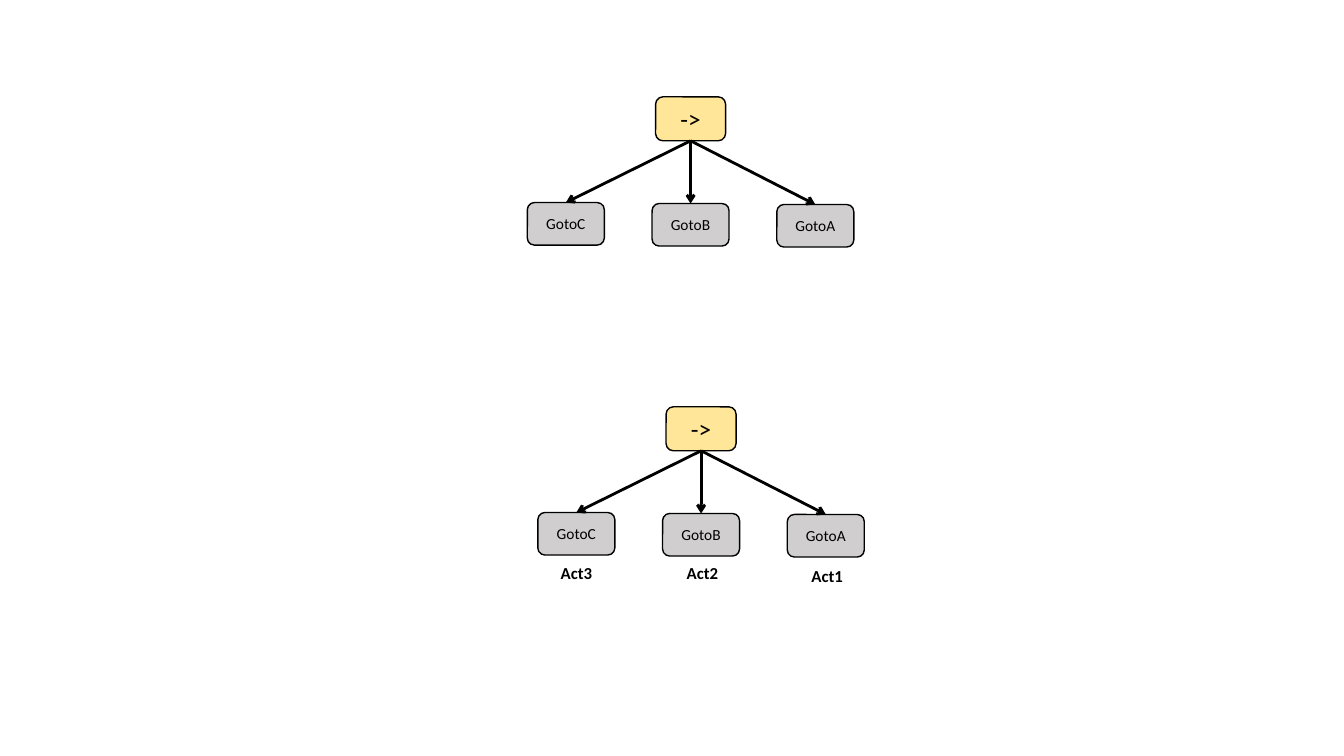
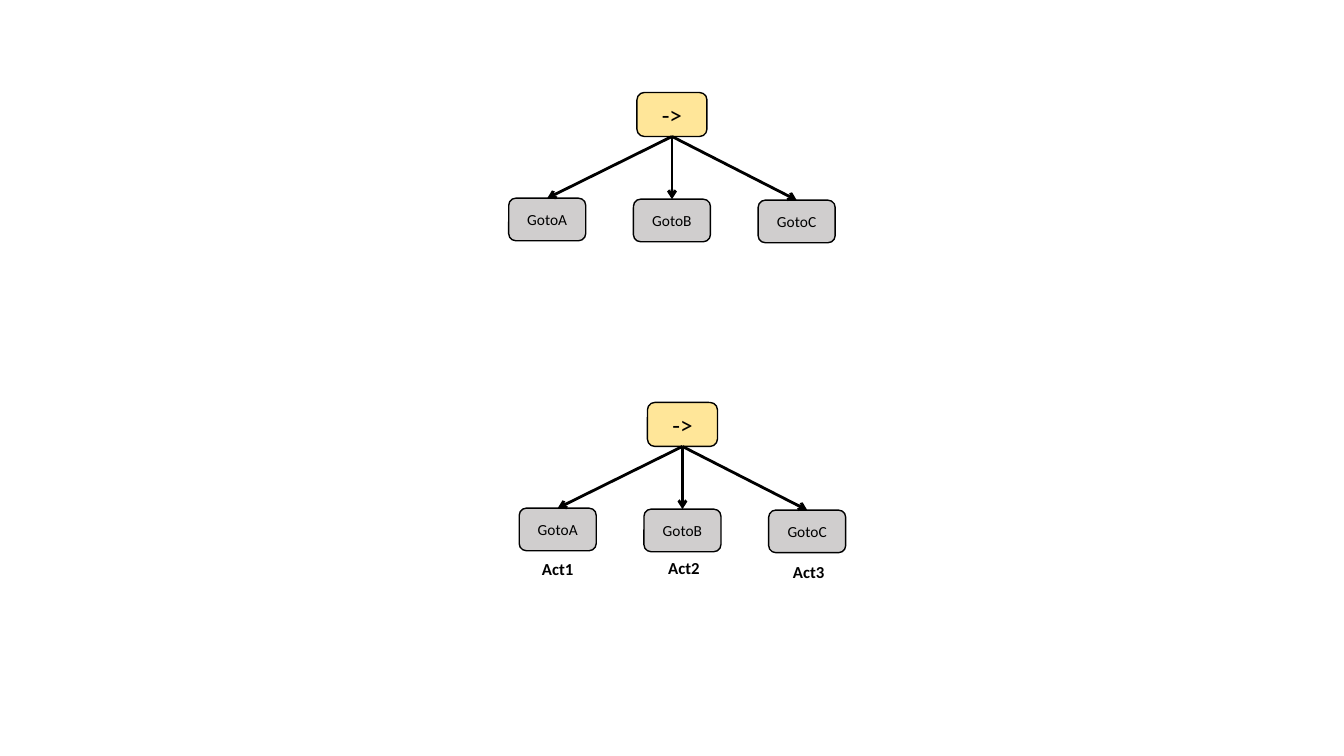
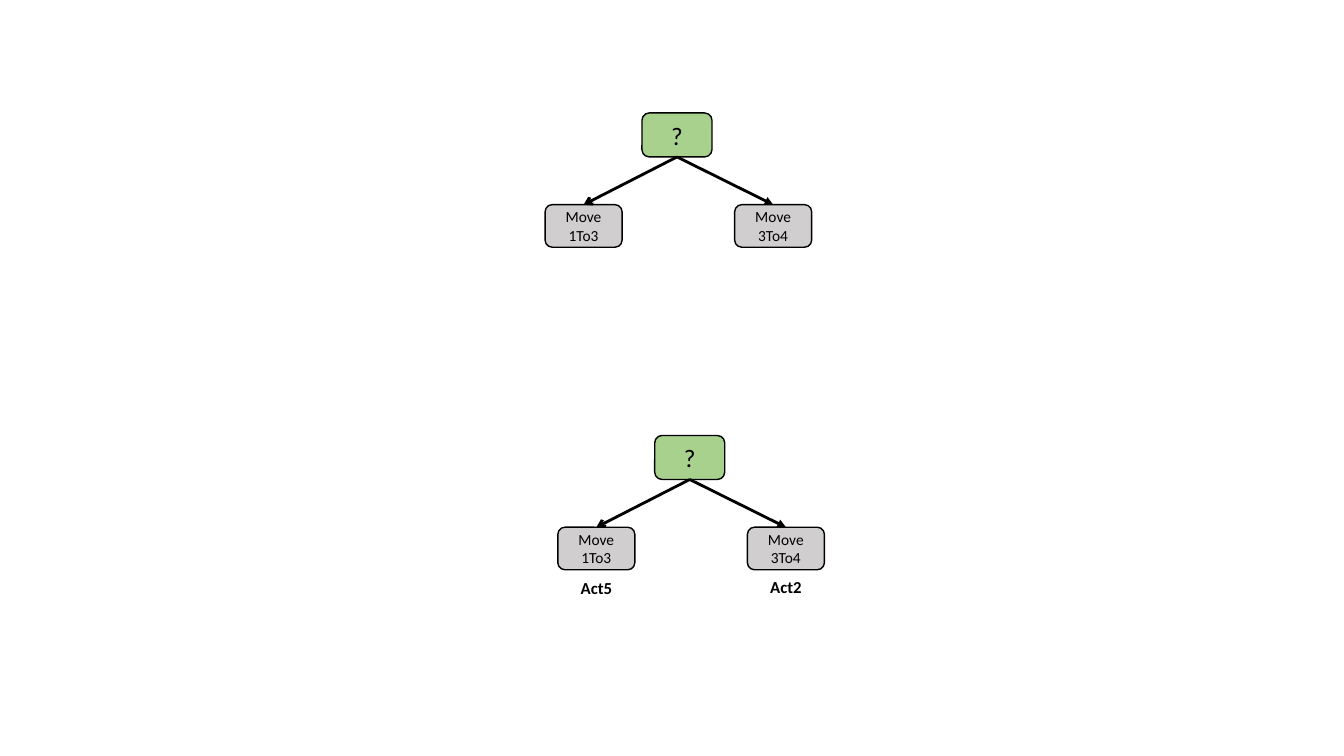
"""Build three slides of behaviour trees, each tree shown plain and then with action labels."""
from dataclasses import dataclass

from lxml import etree
from pptx import Presentation
from pptx.dml import color
from pptx.enum import shapes, text
from pptx.oxml import ns
from pptx import util as u

FONT = "Calibri"
BLACK, GOLD, GREEN, GRAY = "000000", "FFE699", "A9D18E", "D0CECE"
ROOT_W, ROOT_H = 50, 31.4
LEAF_W, LEAF_H = 55, 30.4
TAG_W, TAG_H = 36.7, 21.8


@dataclass(frozen=True)
class Leaf:
    name: str
    tag: str
    drop: float
    shift: float = 0
    tip: str = "arrow"


@dataclass(frozen=True)
class Tree:
    sign: str
    fill: str
    mid: float
    top: float
    leaves: tuple[Leaf, ...]
    step: float
    fall: float
    slope: float = 0
    skew: float = 0
    next_x: float = 7.5
    next_y: float = 221.4


def goto(names: str, tags: str, mid: float, top: float) -> Tree:
    spots = ((2.2, 0), (0.9, 1), (2.7, 1))
    leaves = tuple(Leaf(f"Goto{n}", f"Act{t}", *s)
                   for n, t, s in zip(names, tags, spots))
    return Tree("->", GOLD, mid, top, leaves, 89.1, 75.5, slope=0.7)


TREES = (
    goto("CBA", "321", 493.3, 69.2),
    goto("ABC", "123", 480, 66.1),
    Tree("?", GREEN, 483.6, 80.7,
         (Leaf("Move\n1To3", "Act5", 2.2),
          Leaf("Move\n3To4", "Act2", 1.4, tip="triangle")),
         135.4, 65.5, skew=1, next_x=9.1, next_y=230.4),
)


def rgb(code: str) -> color.RGBColor:
    return color.RGBColor.from_string(code)


def write(shape, words: str, size: float, bold: bool = False) -> None:
    frame = shape.text_frame
    frame.text = words
    for para in frame.paragraphs:
        for run in para.runs:
            font = run.font
            font.name, font.size, font.bold = FONT, u.Pt(size), bold
            font.color.rgb = rgb(BLACK)


def node(slide, words: str, mid: float, top: float, w: float, h: float,
         fill: str, size: float):
    box = slide.shapes.add_shape(
        shapes.MSO_SHAPE.ROUNDED_RECTANGLE,
        u.Pt(mid - w / 2), u.Pt(top), u.Pt(w), u.Pt(h))
    box.shadow.inherit = False
    box.fill.solid()
    box.fill.fore_color.rgb = rgb(fill)
    box.line.color.rgb = rgb(BLACK)
    box.line.width = u.Pt(1)
    write(box, words, size)
    box.text_frame.vertical_anchor = text.MSO_ANCHOR.MIDDLE
    for para in box.text_frame.paragraphs:
        para.alignment = text.PP_ALIGN.CENTER
    return box


def arrow(slide, root, leaf, tip: str) -> None:
    link = slide.shapes.add_connector(shapes.MSO_CONNECTOR.STRAIGHT, 0, 0, 0, 0)
    link.begin_connect(root, 2)
    link.end_connect(leaf, 0)
    link.line.color.rgb = rgb(BLACK)
    link.line.width = u.Pt(2)
    props = link.element.spPr
    etree.SubElement(props.find(ns.qn("a:ln")), ns.qn("a:tailEnd"), type=tip)
    etree.SubElement(props, ns.qn("a:effectLst"))


def label(slide, words: str, mid: float, top: float) -> None:
    box = slide.shapes.add_textbox(
        u.Pt(mid - TAG_W / 2), u.Pt(top), u.Pt(TAG_W), u.Pt(TAG_H))
    write(box, words, 12, bold=True)
    box.text_frame.word_wrap = False
    box.text_frame.auto_size = text.MSO_AUTO_SIZE.SHAPE_TO_FIT_TEXT


def draw(slide, tree: Tree, mid: float, top: float, tags: bool) -> None:
    root = node(slide, tree.sign, mid, top, ROOT_W, ROOT_H, tree.fill, 18)
    half = (len(tree.leaves) - 1) / 2
    for i, leaf in enumerate(tree.leaves):
        x = mid + tree.skew + (i - half) * tree.step
        y = top + tree.fall + i * tree.slope
        box = node(slide, leaf.name, x, y, LEAF_W, LEAF_H, GRAY, 11)
        arrow(slide, root, box, leaf.tip)
        if tags:
            label(slide, leaf.tag, x + leaf.shift, y + LEAF_H + leaf.drop)


def main() -> None:
    deck = Presentation()
    deck.slide_width, deck.slide_height = u.Pt(960), u.Pt(540)
    for tree in TREES:
        slide = deck.slides.add_slide(deck.slide_layouts[6])
        draw(slide, tree, tree.mid, tree.top, False)
        draw(slide, tree, tree.mid + tree.next_x, tree.top + tree.next_y, True)
    deck.save("out.pptx")


if __name__ == "__main__":
    main()
